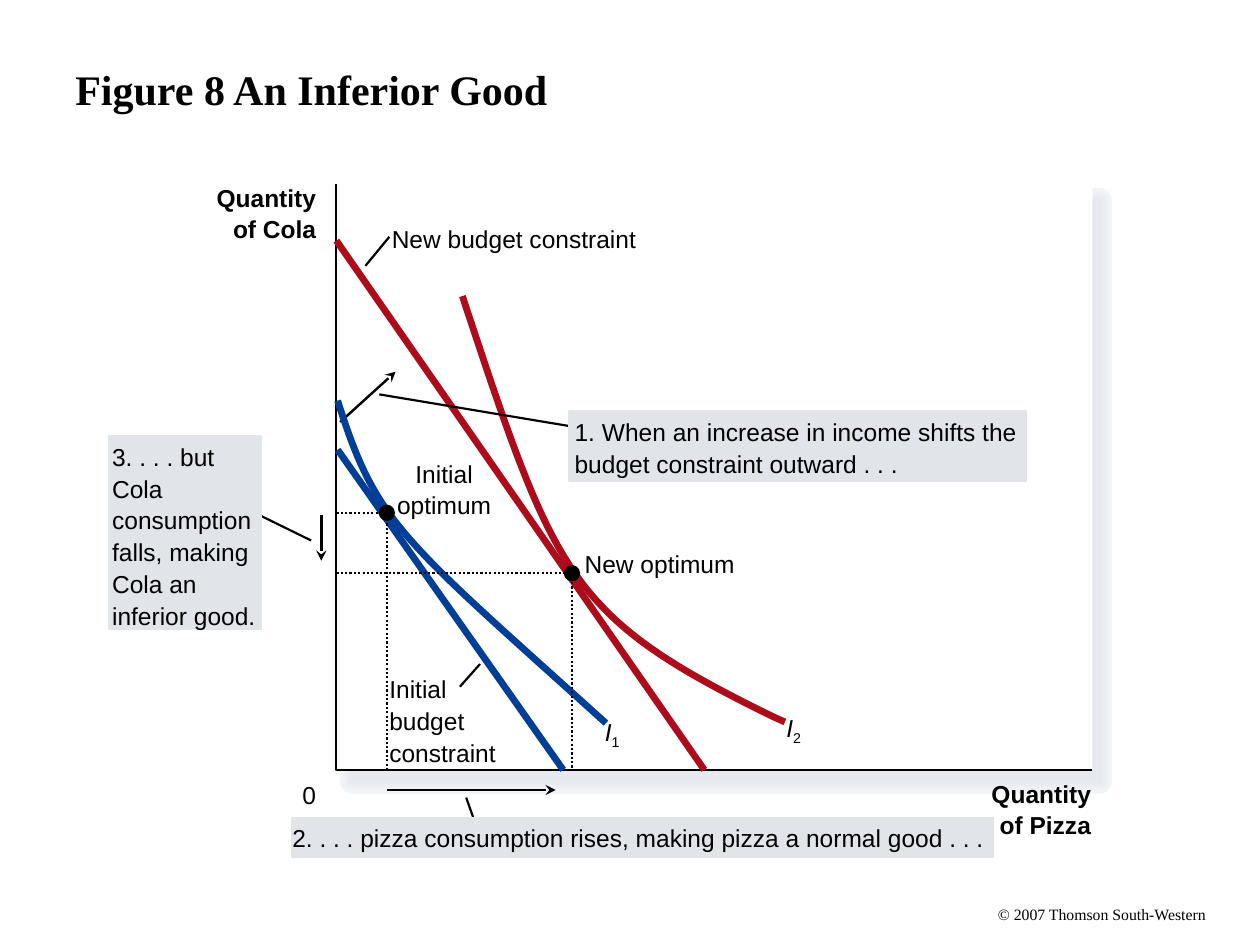
from dataclasses import dataclass

from lxml import etree
from pptx import Presentation
from pptx.dml.color import RGBColor
from pptx.enum.dml import MSO_LINE
from pptx.enum.shapes import MSO_CONNECTOR, MSO_SHAPE
from pptx.enum.text import MSO_ANCHOR, PP_ALIGN
from pptx.oxml.ns import qn
from pptx.util import Inches, Pt

LEFT, MID, RIGHT = PP_ALIGN.LEFT, PP_ALIGN.CENTER, PP_ALIGN.RIGHT
TOP, CENTER = MSO_ANCHOR.TOP, MSO_ANCHOR.MIDDLE
RECT, OVAL = MSO_SHAPE.RECTANGLE, MSO_SHAPE.OVAL
STRAIGHT, DOTS = MSO_CONNECTOR.STRAIGHT, MSO_LINE.ROUND_DOT


@dataclass(frozen=True)
class Theme:
    ink: str = "000000"
    paper: str = "FFFFFF"
    note: str = "E1E5E9"
    blue: str = "003F95"
    red: str = "AD0D1B"
    shade: tuple = ("F3F6F9", "F2F4F8", "F1F4F7", "F0F2F5", "EEF1F4", "EDEFF3",
                    "EBEEF2", "EAECF1", "E9EBF0", "E7EAEF", "E6E9EF")
    sans: str = "Arial"
    serif: str = "Times New Roman"
    head: float = 24
    body: float = 14
    foot: float = 9
    gap: float = 1.3
    thin: float = 1.25
    arrow: float = 1.39
    thick: float = 3.88


T = Theme()


def shift(box, x, y):
    return box[0] + x, box[1] + y


def stroke(line, color, width):
    line.color.rgb = RGBColor.from_string(color)
    line.width = Pt(width)


def shape(slide, kind, box, fill, width=0):
    item = slide.shapes.add_shape(kind, *map(Inches, box))
    item.shadow.inherit = False
    item.fill.solid()
    item.fill.fore_color.rgb = RGBColor.from_string(fill)
    if width:
        stroke(item.line, fill, width)
    else:
        item.line.fill.background()
    return item


def text(slide, lines, box, size=T.body, face=T.sans, bold=False, italic=False,
         align=LEFT, anchor=TOP, pad=(0, 0), sub="", fill=None):
    if fill:
        item = shape(slide, RECT, box, fill, T.thin)
    else:
        item = slide.shapes.add_textbox(*map(Inches, box))
    frame = item.text_frame
    frame.word_wrap = True
    frame.vertical_anchor = anchor
    frame.margin_left, frame.margin_top = map(Inches, pad)
    frame.margin_right = frame.margin_bottom = 0
    for i, words in enumerate(lines):
        para = frame.paragraphs[0] if i == 0 else frame.add_paragraph()
        para.alignment = align
        if i:
            para.space_before = Pt(T.gap)
        run = para.add_run()
        run.text = words
        runs = [run]
        if sub:
            low = para.add_run()
            low.text = sub
            low.font._element.set("baseline", "-25000")
            runs.append(low)
        for part in runs:
            font = part.font
            font.size, font.name, font.bold = Pt(size), face, bold
            font.italic = italic and part is run
            font.color.rgb = RGBColor.from_string(T.ink)


def line(slide, start, end, color=T.ink, width=T.thin, arrow=False):
    item = slide.shapes.add_connector(STRAIGHT, *map(Inches, start + end))
    stroke(item.line, color, width)
    if arrow:
        tip = etree.SubElement(item.line._get_or_add_ln(), qn("a:tailEnd"))
        tip.set("type", "stealth")
    etree.SubElement(item._element.spPr, qn("a:effectLst"))


def trace(slide, points, color=T.ink, width=T.thin, dash=None):
    spots = [tuple(map(Inches, point)) for point in points]
    pen = slide.shapes.build_freeform(*spots[0])
    pen.add_line_segments(spots[1:], close=False)
    item = pen.convert_to_shape()
    item.shadow.inherit = False
    item.fill.background()
    stroke(item.line, color, width)
    if dash:
        item.line.dash_style = dash


def bend(knots, steps=40):
    points = []
    for i in range(steps + 1):
        t = i / steps
        rates = ((1 - t) ** 3, 3 * t * (1 - t) ** 2, 3 * t * t * (1 - t), t ** 3)
        points.append(tuple(sum(r * k[axis] for r, k in zip(rates, knots))
                            for axis in (0, 1)))
    return points


def frame(slide, box):
    x, y, wide, tall = box
    for i, color in enumerate(T.shade):
        shape(slide, RECT, (x + 0.13, y + 0.13, 5.93, 4.61), color, 14.36 - 1.31 * i)
    shape(slide, RECT, box, T.paper)
    trace(slide, [(x, y), (x, y + tall), (x + wide, y + tall)])
    names = ((["Quantity", "of Cola"], -1.16, -0.01),
             (["Quantity", "of Pizza"], wide - 1.01, tall + 0.07))
    for words, dx, dy in names:
        text(slide, words, (*shift(box, dx, dy), 1, 0.48), bold=True, align=RIGHT)
    text(slide, ["0"], (*shift(box, -0.27, tall + 0.08), 0.15, 0.23))


def curves(slide, box):
    tall = box[3]
    budgets = (((0.01, 2.11), (1.8, tall), T.blue), ((0, 0.45), (2.92, tall), T.red))
    for start, end, color in budgets:
        line(slide, shift(box, *start), shift(box, *end), color, T.thick)
    moves = (((-0.12, 2.63), (-0.12, 2.99)), ((0.4, 4.81), (1.74, 4.81)),
             ((0.03, 1.89), (0.47, 1.49)))
    for start, end in moves:
        line(slide, shift(box, *start), shift(box, *end), width=T.arrow, arrow=True)
    first = bend(((2.14, 4.28), (0.5, 2.8), (0.32, 2.7), (0.01, 1.72)))
    second = bend(((1, 0.89), (1.74, 3.12), (1.83, 3.43), (3.47, 4.23))) + [(3.56, 4.27)]
    for points, color, mark, spot in ((first, T.blue, "1", (2.13, 4.23)),
                                      (second, T.red, "2", (3.57, 4.2))):
        trace(slide, [shift(box, *point) for point in points], color, T.thick)
        text(slide, ["I"], (*shift(box, *spot), 0.25, 0.27), italic=True, sub=mark)


def labels(slide, box):
    tags = ((["Initial", "budget", "constraint"], (0.42, 3.89), (1.14, 3.81), (0.98, 3.99)),
            (["New budget constraint"], (0.44, 0.32), (0.42, 0.42), (0.23, 0.65)))
    for words, spot, start, end in tags:
        line(slide, shift(box, *start), shift(box, *end))
        text(slide, words, (*shift(box, *spot), 2.1, 0.24 * len(words)))


def optima(slide, box):
    size = 0.13
    goals = ((0.4, 2.61, ["Initial", "optimum"], (0.47, 2.18), 0.77, MID),
             (1.87, 3.09, ["New optimum"], (1.97, 2.9), 1.3, LEFT))
    for x, y, words, spot, wide, align in goals:
        path = ((0, y), (x, y), (x, box[3]))
        trace(slide, [shift(box, *point) for point in path], dash=DOTS)
        shape(slide, OVAL, (*shift(box, x - size / 2, y - size / 2), size, size), T.ink)
        text(slide, words, (*shift(box, *spot), wide, 0.24 * len(words)), align=align)


def note(slide, box, lines, start, end, pad):
    line(slide, shift(box, *start), shift(box, *end))
    text(slide, lines, box, fill=T.note, pad=pad)


def main():
    deck = Presentation()
    deck.slide_width, deck.slide_height = Inches(10), Inches(7.5)
    slide = deck.slides.add_slide(deck.slide_layouts[6])
    text(slide, ["© 2007 Thomson South-Western"], (7.92, 7.18, 1.8, 0.15),
         size=T.foot, face=T.serif)
    text(slide, ["Figure 8 An Inferior Good"], (0.5, 0.08, 9, 1.25), size=T.head,
         face=T.serif, bold=True, anchor=CENTER, pad=(0.1, 0))
    plot = (2.67, 1.46, 6, 4.65)
    for draw in (frame, curves, labels):
        draw(slide, plot)
    note(slide, (4.52, 3.26, 3.62, 0.56),
         ["1. When an increase in income shifts the", "budget constraint outward . . ."],
         (-1.51, -0.13), (0.11, 0.14), (0.04, 0.05))
    note(slide, (0.87, 3.46, 1.2, 1.53),
         ["3. . . . but", "Cola", "consumption", "falls, making", "Cola an", "inferior good."],
         (1.6, 0.83), (1.09, 0.58), (0.02, 0.05))
    note(slide, (2.32, 6.49, 5.56, 0.31),
         ["2. . . . pizza consumption rises, making pizza a normal good . . ."],
         (1.38, -0.16), (1.49, 0.15), (0, 0.04))
    optima(slide, plot)
    deck.save("out.pptx")


if __name__ == "__main__":
    main()
